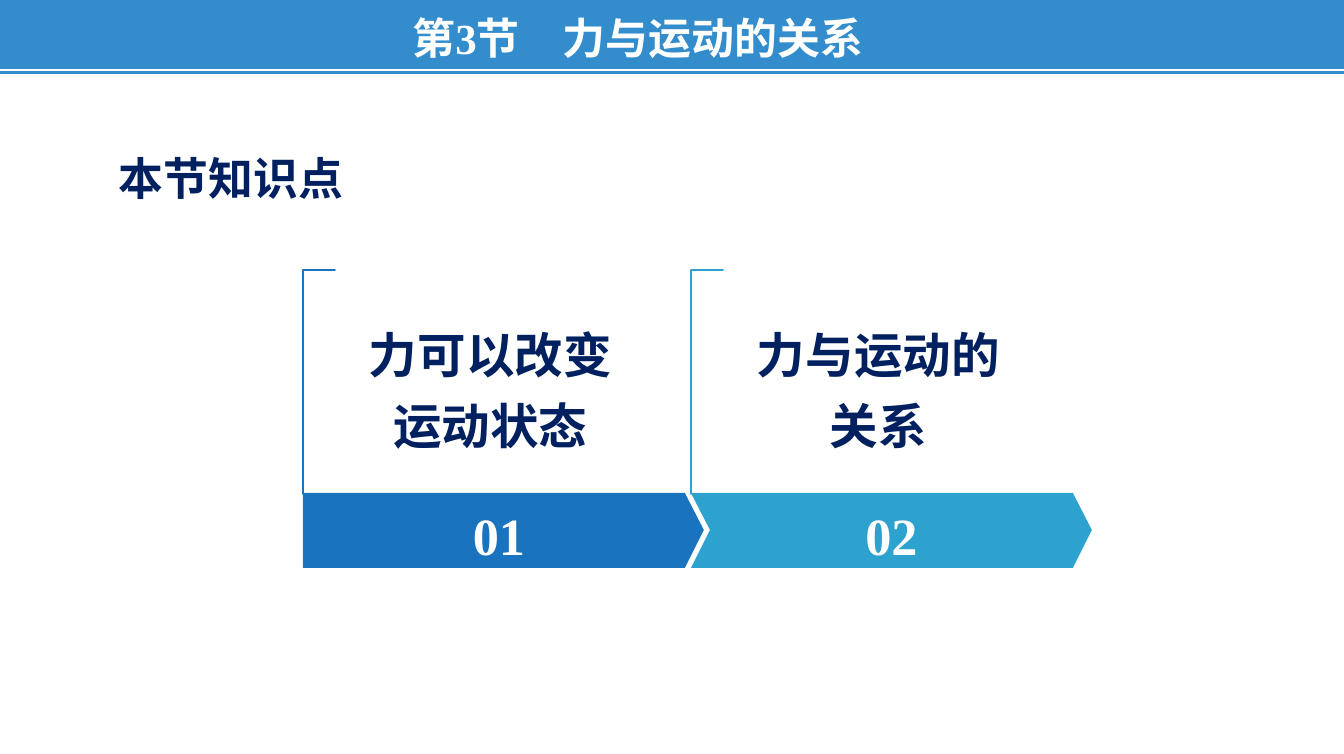
from lxml import etree
from pptx import Presentation
from pptx.dml.color import RGBColor
from pptx.enum.shapes import MSO_CONNECTOR, MSO_SHAPE
from pptx.enum.text import MSO_ANCHOR, PP_ALIGN
from pptx.oxml.ns import qn
from pptx.util import Pt

STRAIGHT = MSO_CONNECTOR.STRAIGHT
RECTANGLE, CORNER = MSO_SHAPE.RECTANGLE, MSO_SHAPE.CORNER
TOP, MIDDLE = MSO_ANCHOR.TOP, MSO_ANCHOR.MIDDLE
LEFT, CENTER = PP_ALIGN.LEFT, PP_ALIGN.CENTER

SCALE = 914400 / 134.4
COLORS = {name: RGBColor.from_string(value) for name, value in {
    "white": "FFFFFF", "band": "338DCD", "blue": "1973BF",
    "cyan": "2EA2CF", "navy": "002060"}.items()}
LATIN, CHINESE = "Times New Roman", "Noto Sans CJK SC"


def px(*lengths):
    return [round(length * SCALE) for length in lengths]


def write(shape, text, size, color, font=LATIN, align=CENTER, spacing=None,
          insets=(13, 7, 13, 7), anchor=TOP):
    frame = shape.text_frame
    frame.word_wrap = True
    frame.vertical_anchor = anchor
    (frame.margin_left, frame.margin_top,
     frame.margin_right, frame.margin_bottom) = px(*insets)
    paragraph = frame.paragraphs[0]
    paragraph.text = text
    paragraph.alignment = align
    if spacing:
        paragraph.line_spacing = Pt(spacing)
    paragraph.font.name = font
    paragraph.font.size = Pt(size)
    paragraph.font.bold = True
    paragraph.font.color.rgb = COLORS[color]


presentation = Presentation()
presentation.slide_width, presentation.slide_height = px(1344, 754)
slide = presentation.slides.add_slide(presentation.slide_layouts[6])

band = slide.shapes.add_shape(RECTANGLE, *px(0, 0, 1344, 74))
band.shadow.inherit = False
band.fill.solid()
band.fill.fore_color.rgb = COLORS["band"]
band.line.fill.background()

stripe = slide.shapes.add_connector(STRAIGHT, *px(0, 70, 1344, 70))
stripe.line.color.rgb = COLORS["white"]
stripe.line.width = Pt(1.5)
etree.SubElement(stripe._element.spPr, qn("a:effectLst"))

topics = [
    ("01", "力可以改变运动状态", "blue", "white", CHINESE, 202, 0, 23, 32),
    ("02", "力与运动的关系", "cyan", "band", LATIN, 148, 19, 42, 42),
]
for index, (number, topic, color, corner_fill, font, height, notch,
            inset_left, inset_right) in enumerate(topics):
    left = 303 + 388 * index
    shapes = slide.shapes.add_group_shape().shapes

    corner = shapes.add_shape(CORNER, *px(left - 96, 366, 224, 32))
    corner.rotation = 90
    corner.adjustments[0] = corner.adjustments[1] = 0.01
    corner.shadow.inherit = False
    corner.fill.solid()
    corner.fill.fore_color.rgb = COLORS[corner_fill]
    corner.line.color.rgb = COLORS[color]
    corner.line.width = Pt(1)

    builder = shapes.build_freeform(left, 493, scale=SCALE)
    points = [(left + 382, 493), (left + 401, 530), (left + 382, 568), (left, 568)]
    if notch:
        points.append((left + notch, 530))
    builder.add_line_segments(points)
    arrow = builder.convert_to_shape()
    arrow.shadow.inherit = False
    arrow.fill.solid()
    arrow.fill.fore_color.rgb = COLORS[color]
    arrow.line.fill.background()
    write(arrow, number, 28, "white", spacing=38,
          insets=(inset_left, 44, inset_right, 44), anchor=MIDDLE)

    label = shapes.add_textbox(*px(left + 38, 249, 325, height))
    write(label, topic, 26, "navy", font=font, spacing=38, insets=(16, 63, 42, 0))

heading = slide.shapes.add_textbox(*px(106, 130, 325, 75))
write(heading, "本节知识点", 24, "navy", align=LEFT, spacing=36)

title = slide.shapes.add_textbox(*px(364, 5, 548, 66))
write(title, "第3节　力与运动的关系", 23, "white")

presentation.save("out.pptx")
